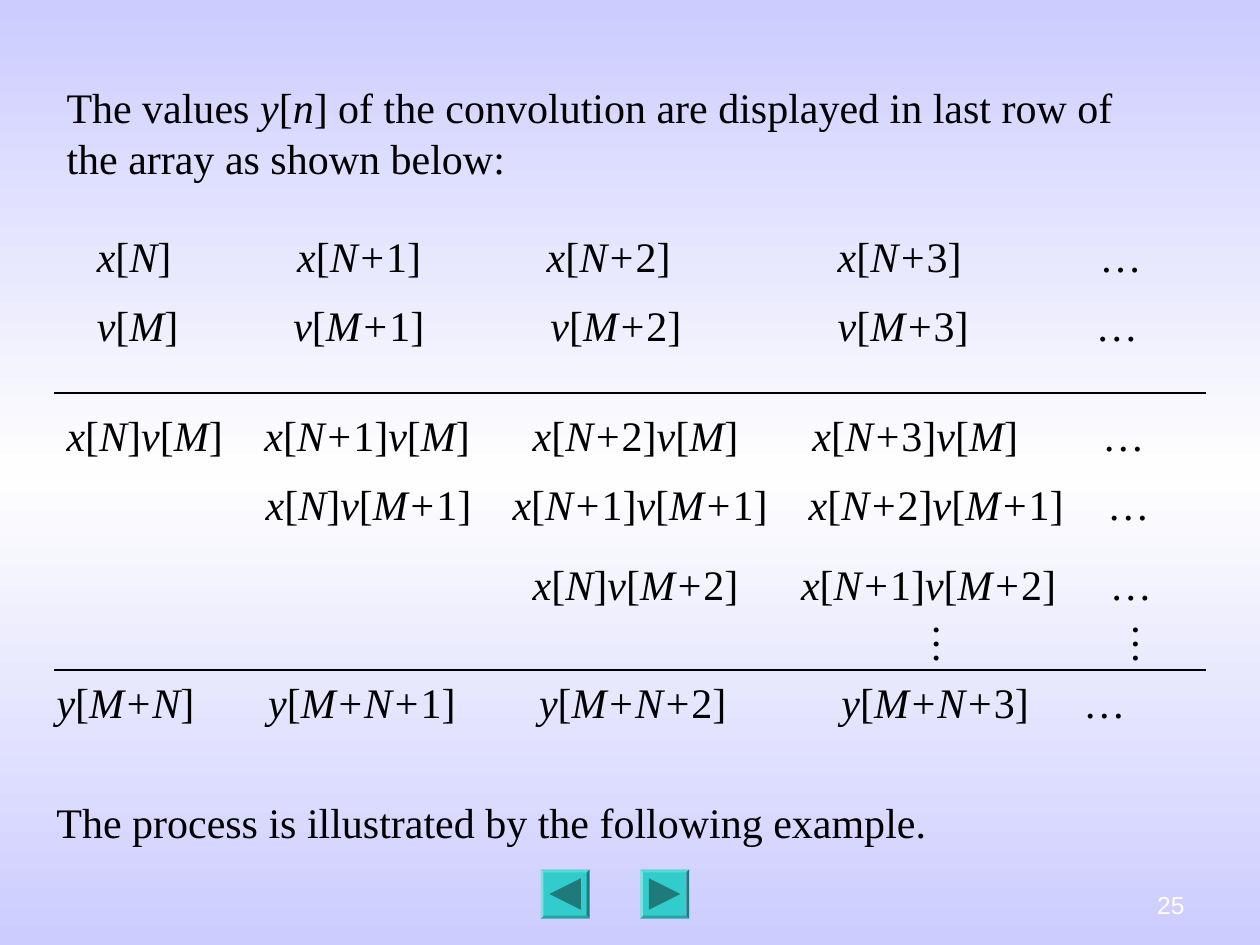
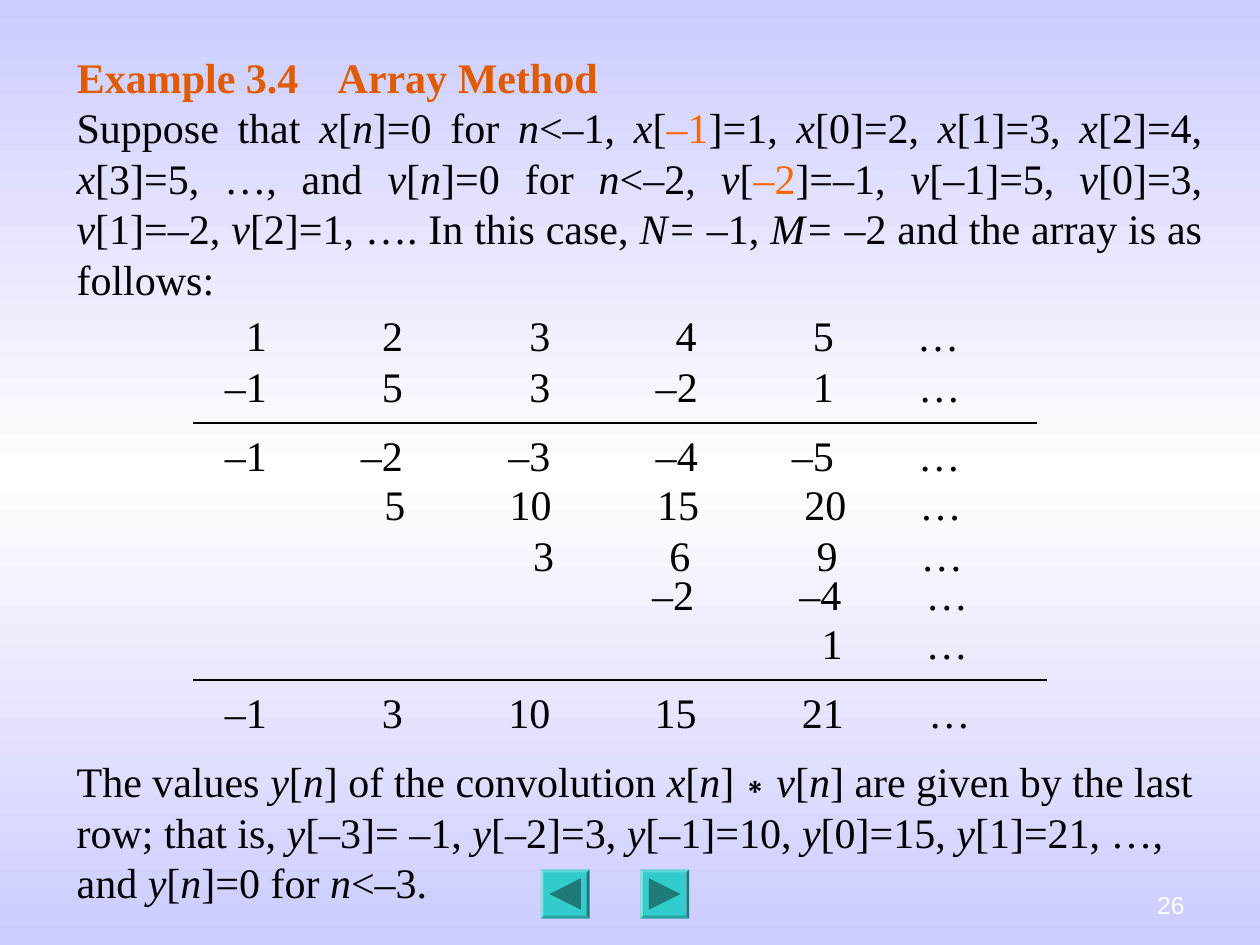
from copy import deepcopy
from dataclasses import dataclass

from lxml import etree
from pptx import Presentation
from pptx.dml.color import RGBColor
from pptx.enum import shapes, text
from pptx.oxml.ns import qn
from pptx.util import Inches, Pt

W, H = 10, 7.5
FIRST = 25
INSET = 0.1
DIGIT = 1 / 6
ROW = 0.5


@dataclass(frozen=True)
class Theme:
    serif: str = "Times New Roman"
    sans: str = "Arial"
    size: int = 24
    small: int = 14
    rule: float = 1.25
    ink: str = "000000"
    head: str = "E05B00"
    mark: str = "FF6600"
    edge: str = "CCCCFF"
    mid: str = "FEFEFE"
    page: str = "FFFFFF"
    key: str = "33CCCC"
    arrow: str = "1F7A7A"


T = Theme()

SHIFT = [
    (1.78, ["_x_[_N_]", "_x_[_N+_1]", "_x_[_N+_2]", "_x_[_N+_3]", "…"],
     [0.77, 2.36, 4.34, 6.65, 8.73]),
    (2.33, ["_v_[_M_]", "_v_[_M+_1]", "_v_[_M+_2]", "_v_[_M+_3]", "…"],
     [0.77, 2.33, 4.37, 6.65, 8.7]),
    (3.2, ["_x_[_N_]_v_[_M_]", "_x_[_N+_1]_v_[_M_]", "_x_[_N+_2]_v_[_M_]",
           "_x_[_N+_3]_v_[_M_]", "…"],
     [0.53, 2.1, 4.23, 6.45, 8.75]),
    (3.75, ["_x_[_N_]_v_[_M+_1]", "_x_[_N+_1]_v_[_M+_1]",
            "_x_[_N+_2]_v_[_M+_1]", "…"],
     [2.11, 4.07, 6.42, 8.79]),
    (4.38, ["_x_[_N_]_v_[_M+_2]", "_x_[_N+_1]_v_[_M+_2]", "…"],
     [4.23, 6.36, 8.81]),
    (5.32, ["_y_[_M+N_]", "_y_[_M+N+_1]", "_y_[_M+N+_2]",
            "_y_[_M+N+_3]", "…"],
     [0.45, 2.13, 4.28, 6.68, 8.6]),
]

SUMS = [
    (2.41, "1 2 3 4 5 …", [2.12, 3.2, 4.37, 5.53, 6.62, 7.28]),
    (2.81, "–1 5 3 –2 1 …", [2.12, 3.2, 4.37, 5.54, 6.62, 7.29]),
    (3.36, "–1 –2 –3 –4 –5 …", [2.12, 3.2, 4.37, 5.54, 6.62, 7.29]),
    (3.75, "5 10 15 20 …", [3.22, 4.38, 5.55, 6.72, 7.3]),
    (4.15, "3 6 9 …", [4.4, 5.48, 6.65, 7.31]),
    (4.46, "–2 –4 …", [5.51, 6.68, 7.35]),
    (4.85, "1 …", [6.69, 7.35]),
    (5.4, "–1 3 10 15 21 …", [2.12, 3.2, 4.37, 5.53, 6.7, 7.37]),
]

INTRO = ("The values _y_[_n_] of the convolution are displayed in last row "
         "of the array as shown below:")
NEXT = "The process is illustrated by the following example."
TITLE = "Example 3.4\tArray Method"
GIVEN = ("Suppose that _x_[_n_]=0 for _n_<–1, _x_[~–1~]=1, _x_[0]=2, "
         "_x_[1]=3, _x_[2]=4, _x_[3]=5, …, and _v_[_n_]=0 for _n_<–2, "
         "_v_[~–2~]=–1, _v_[–1]=5, _v_[0]=3, _v_[1]=–2, _v_[2]=1, …. "
         "In this case, _N= _–1, _M= _–2 and the array is as follows:")
RESULT = ("The values _y_[_n_] of the convolution _x_[_n_]|∗|_v_[_n_] are "
          "given by the last row; that is, _y_[–3]= –1, _y_[–2]=3, "
          "_y_[–1]=10, _y_[0]=15, _y_[1]=21, …, and _y_[_n_]=0 for _n_<–3.")


def color(code):
    return RGBColor.from_string(code)


def add_run(par, words, tone=T.ink, size=T.size, face=T.serif,
            bold=False, slant=False):
    run = par.add_run()
    run.text = words
    font = run.font
    font.name, font.size = face, Pt(size)
    font.bold, font.italic = bold, slant
    font.color.rgb = color(tone)


def write(par, words):
    for i, part in enumerate(words.split("_")):
        for j, bit in enumerate(part.split("~")):
            for k, piece in enumerate(bit.split("|")):
                if piece:
                    add_run(par, piece, T.mark if j % 2 else T.ink,
                            face=T.sans if k % 2 else T.serif,
                            slant=i % 2 == 1)


def set_tabs(par, stops):
    tabs = etree.SubElement(par._p.get_or_add_pPr(), qn("a:tabLst"))
    for pos, side in stops:
        etree.SubElement(tabs, qn("a:tab"), pos=str(Inches(pos)), algn=side)


def set_frame(shape, wrap=True):
    frame = shape.text_frame
    frame.word_wrap = wrap
    frame.auto_size = text.MSO_AUTO_SIZE.NONE
    frame.vertical_anchor = text.MSO_ANCHOR.TOP
    frame.margin_left = frame.margin_right = Inches(INSET)
    frame.margin_top = frame.margin_bottom = Inches(INSET / 2)
    return frame


def add_box(slide, area, wrap=True):
    return set_frame(slide.shapes.add_textbox(*map(Inches, area)), wrap)


def add_text(slide, area, words, side=text.PP_ALIGN.LEFT):
    par = add_box(slide, area).paragraphs[0]
    par.alignment = side
    write(par, words)


def add_row(slide, top, cells, cols, side="l"):
    start = cols[0] - (len(cells[0]) * DIGIT if side == "r" else 0)
    left = start - INSET
    par = add_box(slide, (left, top, W - 0.5 - left, ROW), False).paragraphs[0]
    sides = [side] * (len(cols) - 2) + ["l"]
    set_tabs(par, [(col - start, s) for col, s in zip(cols[1:], sides)])
    write(par, "\t".join(cells))


def add_rule(slide, left, right, top):
    line = slide.shapes.add_connector(
        shapes.MSO_CONNECTOR.STRAIGHT, *map(Inches, (left, top, right, top)))
    line.line.color.rgb = color(T.ink)
    line.line.width = Pt(T.rule)
    etree.SubElement(line._element.spPr, qn("a:effectLst"))


def add_dots(slide, left):
    frame = add_box(slide, (left, 4.85, 0.6, 0.63))
    frame.margin_left = frame.margin_right = Inches(INSET / 2)
    frame.margin_top = frame.margin_bottom = Inches(INSET)
    frame._txBody.bodyPr.set("vert", "eaVert")
    write(frame.paragraphs[0], "…")


def add_solid(slide, kind, area, tone):
    shape = slide.shapes.add_shape(kind, *map(Inches, area))
    shape.shadow.inherit = False
    shape.fill.solid()
    shape.fill.fore_color.rgb = color(tone)
    shape.line.fill.background()
    return shape


def add_nav(slide, page):
    side, tip, top = 0.39, 0.25, 6.9
    pad = (side - tip) / 2
    for left, turn in ((4.29, 270), (5.08, 90)):
        key = add_solid(slide, shapes.MSO_SHAPE.BEVEL,
                        (left, top, side, side), T.key)
        key.adjustments[0] = 0.06
        arrow = add_solid(slide, shapes.MSO_SHAPE.ISOSCELES_TRIANGLE,
                          (left + pad, top + pad, tip, tip), T.arrow)
        arrow.rotation = turn
    frame = add_box(slide, (7.17, 6.83, 2.33, 0.52))
    frame.vertical_anchor = text.MSO_ANCHOR.BOTTOM
    par = frame.paragraphs[0]
    par.alignment = text.PP_ALIGN.RIGHT
    add_run(par, str(page), T.page, T.small, T.sans)


def set_back(master):
    fill = master.background.fill
    fill.gradient()
    fill.gradient_angle = 90
    stops = master.element.find(".//" + qn("a:gsLst"))
    stops.append(deepcopy(stops[0]))
    tones = (T.edge, T.mid, T.edge)
    for i, (stop, tone) in enumerate(zip(fill.gradient_stops, tones)):
        stop.position = i / 2
        stop.color.rgb = color(tone)


def add_title(slide, words):
    title = slide.shapes.title
    title.left, title.top, title.width, title.height = map(
        Inches, (0.51, 0.36, 9.13, ROW))
    par = set_frame(title).paragraphs[0]
    par.alignment = text.PP_ALIGN.LEFT
    set_tabs(par, [(2.07, "l")])
    add_run(par, words, T.head, bold=True)


def make_array(slide):
    add_text(slide, (0.43, 0.6, 8.9, 0.9), INTRO)
    for top, cells, cols in SHIFT:
        add_row(slide, top, cells, cols)
    for top in (3.12, 5.32):
        add_rule(slide, 0.43, W - 0.43, top)
    for left in (7.2, 8.78):
        add_dots(slide, left)
    add_text(slide, (0.35, 6.27, 9.06, ROW), NEXT)


def make_sample(slide):
    add_title(slide, TITLE)
    add_text(slide, (0.51, 0.76, 9.13, 1.7), GIVEN, text.PP_ALIGN.JUSTIFY)
    for top, cells, cols in SUMS:
        add_row(slide, top, cells.split(), cols, "r")
    for right, top in ((8.23, 3.36), (8.31, 5.4)):
        add_rule(slide, 1.53, right, top)
    add_text(slide, (0.51, 5.95, 9.29, 1.3), RESULT)


def main():
    prs = Presentation()
    prs.slide_width, prs.slide_height = Inches(W), Inches(H)
    set_back(prs.slide_master)
    plans = ((6, make_array), (5, make_sample))
    for page, (kind, make) in enumerate(plans, FIRST):
        slide = prs.slides.add_slide(prs.slide_layouts[kind])
        make(slide)
        add_nav(slide, page)
    prs.save("out.pptx")


if __name__ == "__main__":
    main()
